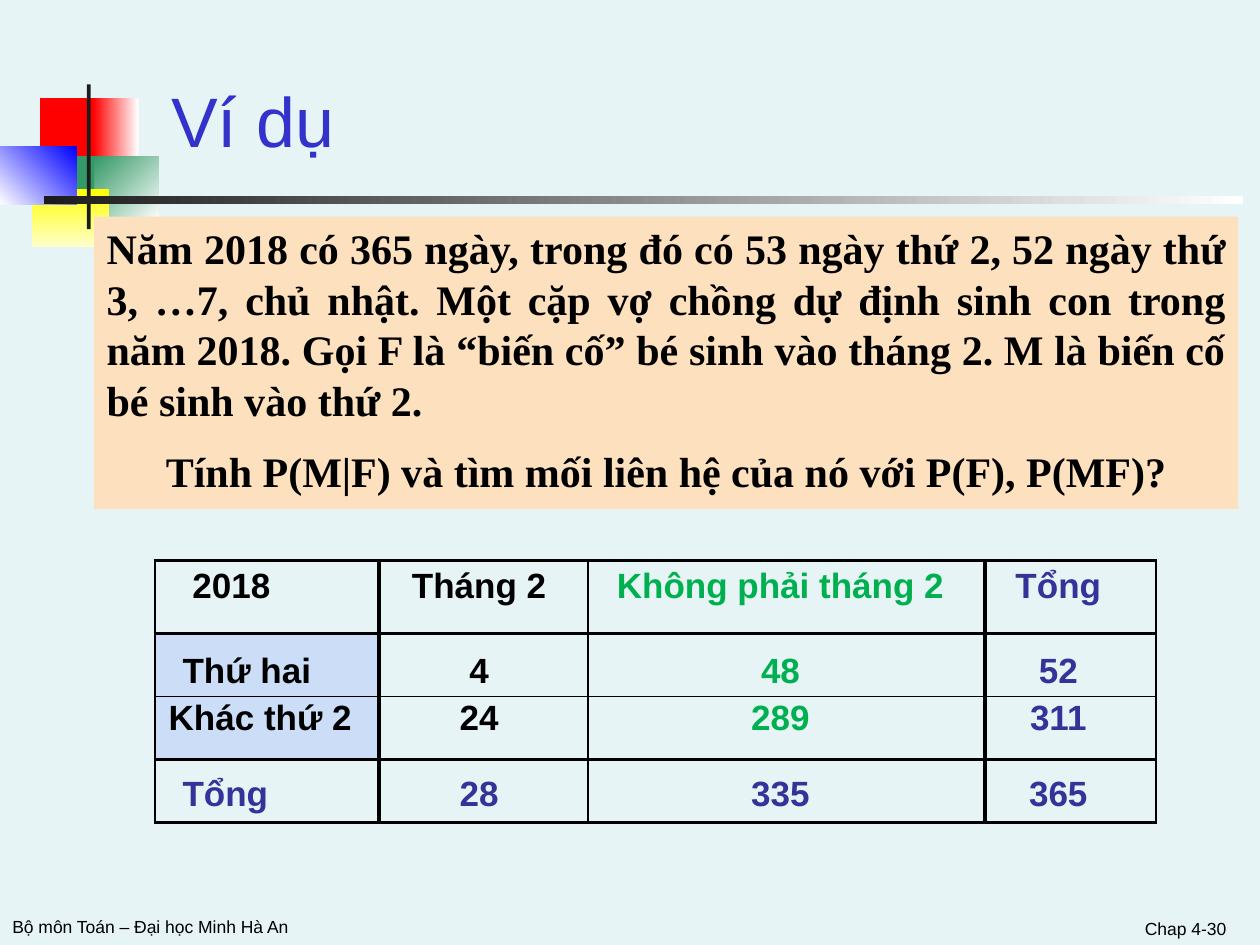
from dataclasses import dataclass
from typing import Optional

from lxml.etree import SubElement as Sub
from pptx import Presentation
from pptx.dml.color import RGBColor as Rgb
from pptx.enum.shapes import MSO_SHAPE as Form
from pptx.enum.text import MSO_ANCHOR as Anchor, PP_ALIGN as Align
from pptx.oxml.ns import qn
from pptx.util import Cm, Pt


@dataclass(frozen=True)
class Theme:
    back: str = "E7F4F5"
    ink: str = "000000"
    title: str = "3333CC"
    total: str = "333399"
    green: str = "00B050"
    note: str = "FDE0BD"
    tint: str = "CBDDF7"
    sans: str = "Arial"
    serif: str = "Times New Roman"
    head: int = 40
    body: int = 24
    cell: int = 20
    foot: int = 10


@dataclass(frozen=True)
class Block:
    left: float
    top: float
    width: float
    height: float
    color: str
    fade: Optional[str] = None
    angle: int = 0


@dataclass(frozen=True)
class Row:
    height: float
    indent: float
    drop: float
    words: tuple[str, ...]
    colors: tuple[str, ...]
    tint: bool = False


LOOK = Theme()

BLOCKS = (
    Block(0.81, 1.98, 1.22, 1.32, "FF0000"),
    Block(1.88, 1.98, 0.91, 1.32, "FF0000", "FFFFFF"),
    Block(1.9, 3.15, 1.3, 1.32, "339966", "FFFFFF", 315),
    Block(1.09, 3.15, 0.81, 1.32, "339966"),
    Block(0.64, 3.81, 1.55, 1.17, "FFFF00", "FFFFCC", 270),
    Block(0, 2.95, 1.55, 1.17, "FFFFFF", "0000FF", 45),
    Block(1.75, 1.7, 0.08, 2.92, "1C1C1C"),
    Block(0.89, 3.96, 24.16, 0.15, "1C1C1C", "FFFFFF"),
)

MIXED = (LOOK.ink, LOOK.ink, LOOK.green, LOOK.total)
ROWS = (
    Row(1.47, 0.76, 0.13, ("2018", "Tháng 2", "Không phải tháng 2", "Tổng"), MIXED),
    Row(1.27, 0.56, 0.36, ("Thứ hai", "4", "48", "52"), MIXED, True),
    Row(1.27, 0.28, 0.05, ("Khác thứ 2", "24", "289", "311"), MIXED, True),
    Row(1.27, 0.56, 0.3, ("Tổng", "28", "335", "365"), (LOOK.total,) * 4),
)
WIDTHS = (4.52, 4.22, 8, 3.45)
PADS = (0, 0.18, 0.25, 0.5)
ACROSS = (1.5, 2, 0.75, 2, 1.5)
DOWN = (1.5, 2.25, 1.5, 2.25, 1.5)

STORY = (
    "Năm 2018 có 365 ngày, trong đó có 53 ngày thứ 2, 52 ngày thứ 3, …7, chủ nhật. "
    "Một cặp vợ chồng dự định sinh con trong năm 2018. Gọi F là “biến cố” bé sinh "
    "vào tháng 2. M là biến cố bé sinh vào thứ 2."
)
TASK = "Tính P(M|F) và tìm mối liên hệ của nó với P(F), P(MF)?"


def write(para, text: str, *, size: int, color: str = LOOK.ink, font: str = LOOK.sans,
          bold: bool = False, align=Align.LEFT, before: float = 0) -> None:
    para.alignment = align
    para.space_before = Pt(before)
    run = para.add_run()
    run.text = text
    run.font.name = font
    run.font.size = Pt(size)
    run.font.bold = bold
    run.font.color.rgb = Rgb.from_string(color)


def place(slide, block: Block):
    shape = slide.shapes.add_shape(Form.RECTANGLE, Cm(block.left), Cm(block.top),
                                   Cm(block.width), Cm(block.height))
    shape.shadow.inherit = False
    shape.line.fill.background()
    if block.fade:
        shape.fill.gradient()
        shape.fill.gradient_angle = block.angle
        for stop, color in zip(shape.fill.gradient_stops, (block.color, block.fade)):
            stop.color.rgb = Rgb.from_string(color)
    else:
        shape.fill.solid()
        shape.fill.fore_color.rgb = Rgb.from_string(block.color)
    return shape


def label(slide, left: float, top: float, width: float, height: float,
          anchor=Anchor.BOTTOM):
    frame = slide.shapes.add_textbox(Cm(left), Cm(top), Cm(width), Cm(height)).text_frame
    frame.word_wrap = True
    frame.vertical_anchor = anchor
    return frame.paragraphs[0]


def edge(cell, **sides: float) -> None:
    props = cell._tc.get_or_add_tcPr()
    for side, width in sides.items():
        line = Sub(props, qn(f"a:ln{side}"), w=str(int(Pt(width))))
        Sub(Sub(line, qn("a:solidFill")), qn("a:srgbClr"), val=LOOK.ink)


def story(slide) -> None:
    shape = place(slide, Block(1.9, 4.37, 23.06, 5.89, LOOK.note))
    frame = shape.text_frame
    frame.word_wrap = True
    frame.vertical_anchor = Anchor.TOP
    style = dict(size=LOOK.body, font=LOOK.serif, bold=True)
    write(frame.paragraphs[0], STORY, align=Align.JUSTIFY, **style)
    write(frame.add_paragraph(), TASK, align=Align.CENTER, before=12, **style)


def grid(slide) -> None:
    table = slide.shapes.add_table(
        len(ROWS), len(WIDTHS), Cm(3.12), Cm(11.3), Cm(sum(WIDTHS)),
        Cm(sum(row.height for row in ROWS))).table
    table.first_row = table.horz_banding = False
    for col, width in zip(table.columns, WIDTHS):
        col.width = Cm(width)
    for r, row in enumerate(ROWS):
        table.rows[r].height = Cm(row.height)
        for c, (word, color) in enumerate(zip(row.words, row.colors)):
            cell = table.cell(r, c)
            first = c == 0
            cell.margin_left = Cm(row.indent if first else 0)
            cell.margin_right = Cm(PADS[c])
            cell.margin_top = Cm(row.drop)
            cell.margin_bottom = Cm(0)
            edge(cell, L=DOWN[c], R=DOWN[c + 1], T=ACROSS[r], B=ACROSS[r + 1])
            if first and row.tint:
                cell.fill.solid()
                cell.fill.fore_color.rgb = Rgb.from_string(LOOK.tint)
            else:
                cell.fill.background()
            write(cell.text_frame.paragraphs[0], word, size=LOOK.cell, color=color,
                  bold=True, align=Align.LEFT if first else Align.CENTER)


def main() -> None:
    deck = Presentation()
    deck.slide_width, deck.slide_height = Cm(25.4), Cm(19.05)
    slide = deck.slides.add_slide(deck.slide_layouts[6])
    slide.background.fill.solid()
    slide.background.fill.fore_color.rgb = Rgb.from_string(LOOK.back)
    for block in BLOCKS:
        place(slide, block)
    write(label(slide, 19.05, 18.16, 5.92, 0.89), "Chap 4-30",
          size=LOOK.foot, align=Align.RIGHT)
    write(label(slide, 3.2, 0.64, 20.5, 2.74), "Ví dụ",
          size=LOOK.head, color=LOOK.title)
    story(slide)
    grid(slide)
    write(label(slide, 0, 18.34, 13.34, 0.71, Anchor.TOP),
          "Bộ môn Toán – Đại học Minh Hà An", size=LOOK.foot)
    deck.save("out.pptx")


if __name__ == "__main__":
    main()
